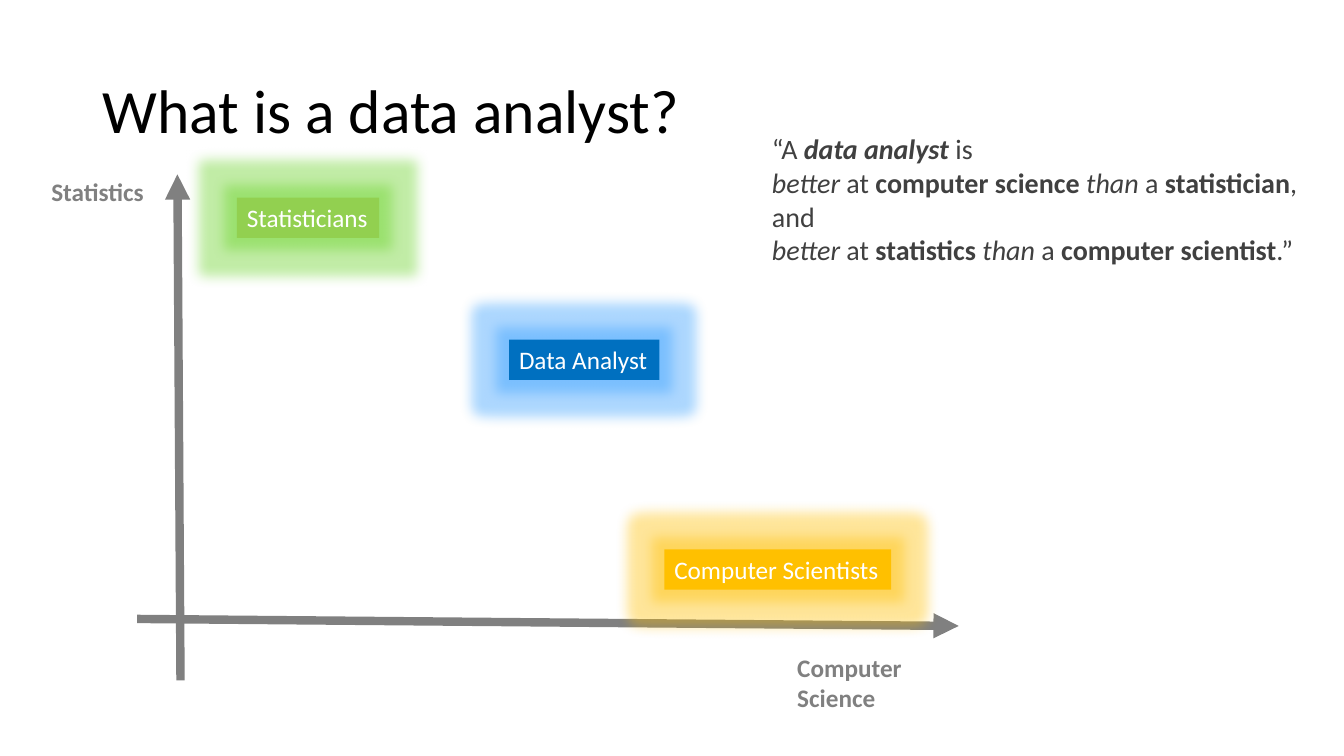
from lxml.etree import SubElement
from pptx import Presentation
from pptx.dml.color import RGBColor
from pptx.enum.shapes import MSO_CONNECTOR, MSO_SHAPE
from pptx.enum.text import MSO_ANCHOR, MSO_AUTO_SIZE, PP_ALIGN
from pptx.oxml import parse_xml
from pptx.oxml.ns import nsdecls, qn
from pptx.util import Inches, Pt

BLACK = RGBColor(0x00, 0x00, 0x00)
WHITE = RGBColor(0xFF, 0xFF, 0xFF)
GRAY = RGBColor(0x80, 0x80, 0x80)
DARK = RGBColor(0x40, 0x40, 0x40)
GREEN = RGBColor(0x92, 0xD0, 0x50)
AMBER = RGBColor(0xFF, 0xC0, 0x00)
BLUE = RGBColor(0x00, 0x70, 0xC0)
GREEN_GLOW = RGBColor(0x64, 0xD2, 0x20)
AMBER_GLOW = RGBColor(0xFF, 0xC0, 0x00)
BLUE_GLOW = RGBColor(0x31, 0x9D, 0xFF)

prs = Presentation()
prs.slide_width, prs.slide_height = Inches(13.33), Inches(7.5)
s = prs.slides.add_slide(prs.slide_layouts[6])

# Grid of 100 columns by 100 rows
COL, ROW = prs.slide_width / 100, prs.slide_height / 100
LABEL_H = 5.33


def grid(x, y, w, h):
    return int(x * COL), int(y * ROW), int(w * COL), int(h * ROW)


def write(sp, paragraphs, size, color, wrap=False):
    """Fill a shape; each run is (text, style), style holding b and/or i."""
    tf = sp.text_frame
    tf.word_wrap = wrap
    tf.auto_size = MSO_AUTO_SIZE.NONE if wrap else MSO_AUTO_SIZE.SHAPE_TO_FIT_TEXT
    tf.vertical_anchor = MSO_ANCHOR.MIDDLE if wrap else MSO_ANCHOR.TOP
    for n, runs in enumerate(paragraphs):
        p = tf.add_paragraph() if n else tf.paragraphs[0]
        p.alignment = PP_ALIGN.LEFT
        for text, style in runs:
            r = p.add_run()
            r.text = text
            r.font.name, r.font.size = "Calibri", Pt(size)
            r.font.color.rgb = color
            r.font.bold, r.font.italic = "b" in style, "i" in style


# Title
title = s.shapes.add_textbox(*grid(6.9, 5.33, 86.25, 19.33))
write(title, [[("What is a data analyst?", "")]], 44, BLACK, wrap=True)
title.text_frame.paragraphs[0].line_spacing = 0.9

# Axes
for x1, y1, x2, y2 in [(13.43, 90, 13.2, 23.07), (10.2, 81.87, 71.33, 82.8)]:
    axis = s.shapes.add_connector(MSO_CONNECTOR.STRAIGHT, *grid(x1, y1, x2, y2))
    axis.line.color.rgb, axis.line.width = GRAY, Pt(6)
    SubElement(axis.line._get_or_add_ln(), qn("a:tailEnd"), type="triangle")
    SubElement(axis._element.spPr, qn("a:effectLst"))

# Axis labels
for text, x, y, w in [("Statistics", 3.08, 22.67, 8.48),
                      ("Computer Science", 58.58, 85.6, 15.45)]:
    label = s.shapes.add_textbox(*grid(x, y, w, LABEL_H))
    write(label, [[(text, "b")]], 18, GRAY)

# Glowing role boxes
roles = [
    ("Statisticians", 17.63, 26.13, 10.58, GREEN, GREEN_GLOW),
    ("Computer Scientists", 49.43, 72.67, 16.88, AMBER, AMBER_GLOW),
    ("Data Analyst", 37.88, 44.93, 11.18, BLUE, BLUE_GLOW),
]
for text, x, y, w, fill, glow in roles:
    sp = s.shapes.add_shape(MSO_SHAPE.RECTANGLE, *grid(x, y, w, LABEL_H))
    sp.fill.solid()
    sp.fill.fore_color.rgb = fill
    sp.line.fill.background()
    sp._element.spPr.append(parse_xml(
        f'<a:effectLst {nsdecls("a")}><a:glow rad="{Inches(0.25)}">'
        f'<a:srgbClr val="{glow}"><a:alpha val="40000"/></a:srgbClr>'
        '</a:glow></a:effectLst>'))
    write(sp, [[(text, "")]], 18, WHITE)


# Quote
quote = [[("“A ", ""), ("data analyst ", "bi"), ("is", "")]]
for skill, other, end in [("computer science ", "statistician", ","),
                          ("statistics ", "computer scientist", ".”")]:
    quote.append([("better", "i"), (" at ", ""), (skill, "b"), ("than", "i"),
                  (" a ", ""), (other, "b"), (end, "")])
quote.insert(2, [("and", "")])
write(s.shapes.add_textbox(*grid(56.7, 16.8, 41.4, 19.33)), quote, 20, DARK)

prs.save("out.pptx")
